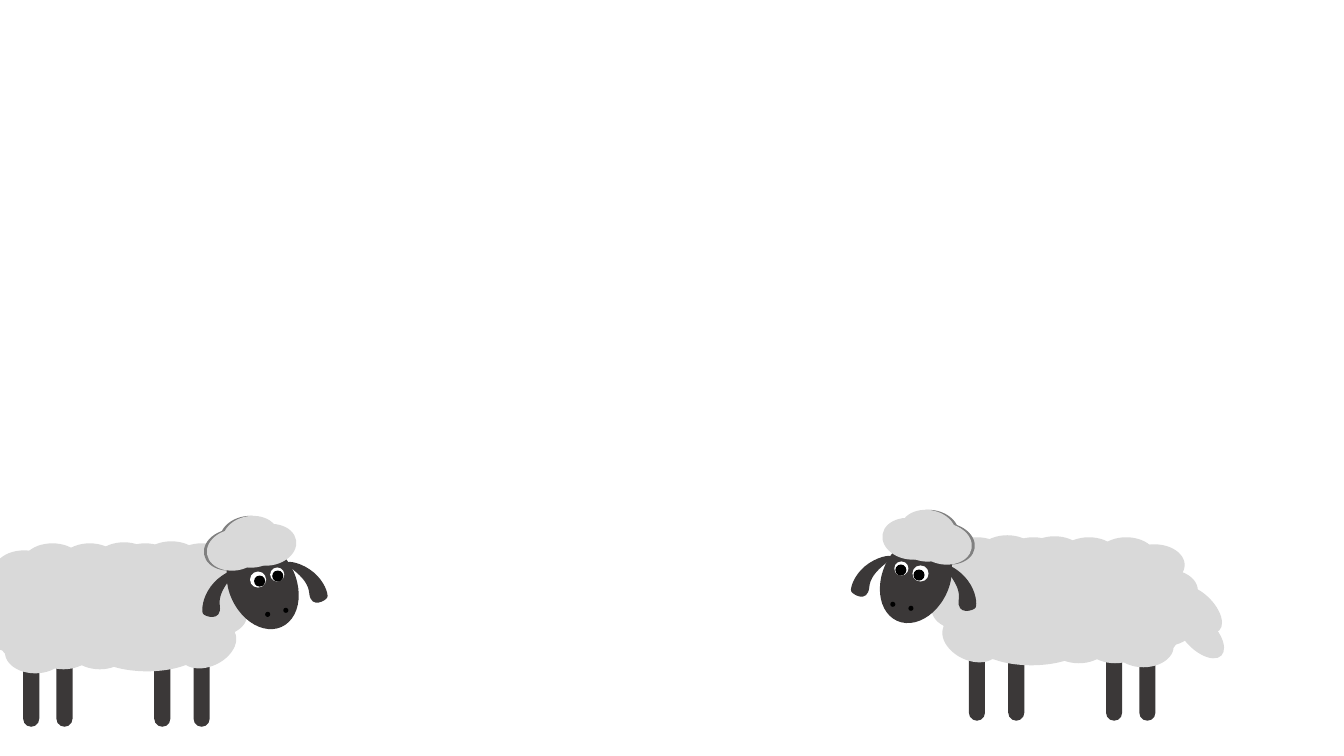
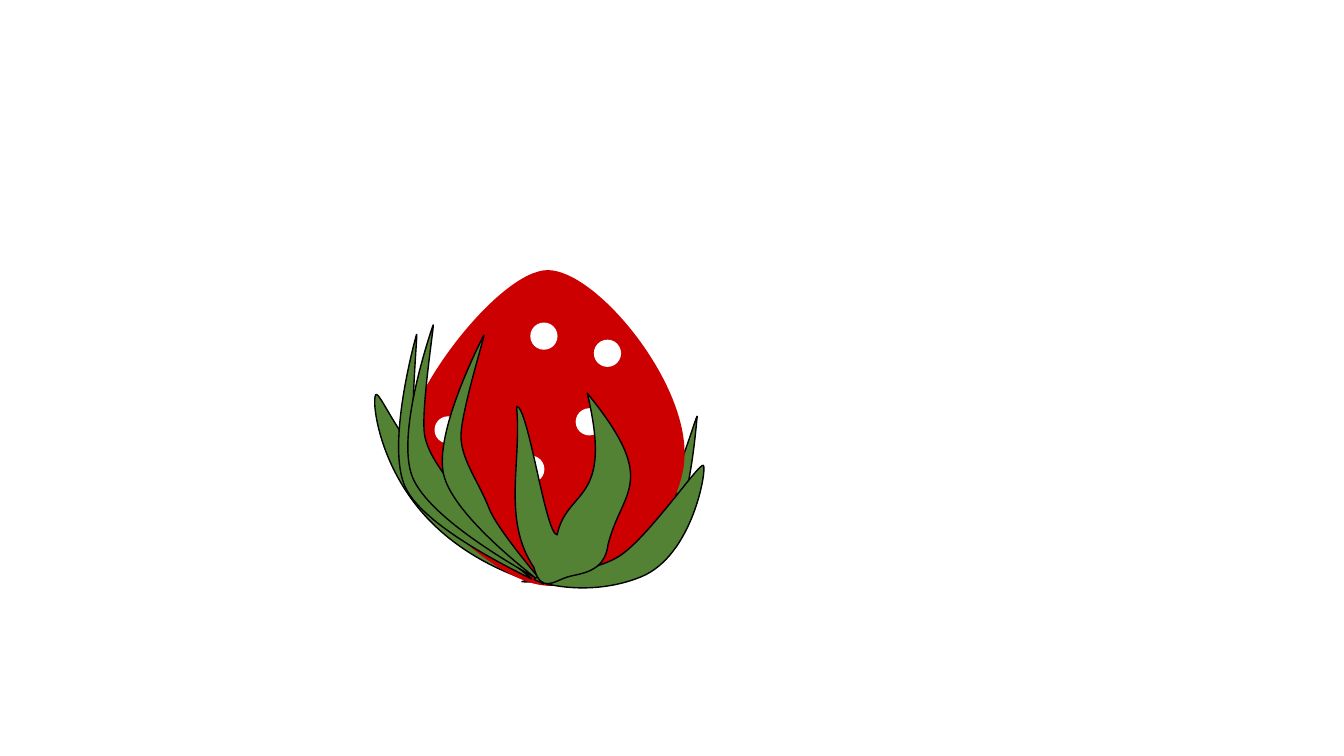
from math import cos, radians, sin
from typing import NamedTuple

from lxml.etree import SubElement
from pptx import Presentation
from pptx.dml.color import RGBColor
from pptx.enum.shapes import MSO_SHAPE
from pptx.oxml.ns import qn
from pptx.util import Inches, Pt

WOOL = RGBColor(0xD9, 0xD9, 0xD9)
WOOL_SHADE = RGBColor(0x80, 0x80, 0x80)
SKIN = RGBColor(0x3B, 0x38, 0x38)
WHITE = RGBColor(0xFF, 0xFF, 0xFF)
BLACK = RGBColor(0x00, 0x00, 0x00)
RED = RGBColor(0xCC, 0x00, 0x00)
GREEN = RGBColor(0x54, 0x82, 0x35)


class Box(NamedTuple):
    left: float
    top: float
    width: float
    height: float
    turn: float = 0
    flipped: bool = False

    def mirrored(self, axis_sum, drop):
        return Box(axis_sum - self.left - self.width, self.top + drop,
                   self.width, self.height, -self.turn, not self.flipped)

    def point(self, across, down):
        dx = (across - 0.5) * self.width * (-1 if self.flipped else 1)
        dy = (down - 0.5) * self.height
        angle = radians(self.turn)
        x = self.left + self.width / 2 + dx * cos(angle) - dy * sin(angle)
        y = self.top + self.height / 2 + dx * sin(angle) + dy * cos(angle)
        return Inches(x), Inches(y)


class Node(NamedTuple):
    across: float
    down: float
    leave: tuple
    arrive: tuple = None

    def handles(self):
        leave_x, leave_y = self.leave
        arrive_x, arrive_y = self.arrive or (-leave_x, -leave_y)
        return [(self.across + arrive_x, self.down + arrive_y),
                (self.across, self.down),
                (self.across + leave_x, self.down + leave_y)]


EAR = [Node(0.81, 0.31, (0.52, -0.22)), Node(0.44, 0, (-0.13, 0.03)),
       Node(0, 0.49, (-0.01, 0.27)), Node(0.43, 0.99, (0.13, -0.03))]
EGG = [Node(0, 0.56, (0, -0.17)), Node(0.51, 0, (0.17, 0)),
       Node(1, 0.58, (0, 0.24)), Node(0.51, 1, (-0.17, 0))]
BLADE = [Node(0, 0.51, (-0.03, -0.17)), Node(0.82, 0, (0.05, -0.02)),
         Node(0.3, 0.38, (-0.04, 0.09)), Node(0.49, 0.67, (0.06, 0.1)),
         Node(0.99, 1, (-0.08, -0.03))]
CRESCENT = [Node(0.32, 0.55, (0, -0.28)), Node(0.02, 0, (0.12, 0)),
            Node(1, 0.52, (0, 0.28)), Node(0.03, 1, (-0.12, 0))]
BROAD_LEAF = [Node(0.65, 0.56, (-0.08, -0.17)), Node(0, 0, (0.06, -0.01)),
              Node(0.99, 0.5, (0, 0.28)), Node(0.52, 1, (-0.06, 0.01))]
FORKED_LEAF = [Node(0.02, 0.07, (0.1, -0.01), (0.05, 0.28)),
               Node(0.37, 0.74, (0.09, -0.25), (-0.1, 0)),
               Node(0.63, 0, (0.63, 0.47), (0.23, 0.58)),
               Node(0.81, 0.79, (-0.03, 0.15), (0.12, -0.29)),
               Node(0.46, 0.96, (-0.11, 0.02)),
               Node(0.17, 0.91, (-0.28, -0.25), (0.06, 0.14))]

MIRROR_SUM, MIRROR_DROP = 11.69, 0.06
LEG_LEFTS = [9.61, 10, 11.3, 10.97]
LEG_TOP, LEG_SIZE, LEG_ROUNDING = 5.94, (0.16, 1.21), 0.5
BODY, BODY_ROUNDING = Box(9.36, 5.41, 2.36, 1.13), 0.29

CURL_SIZE = (0.6, 0.41)
CURL_ROW = [(9.69, 5.31), (9.39, 5.33), (10.16, 5.32), (9.95, 5.33),
            (10.5, 5.33), (10.87, 5.33), (11.15, 5.4)]
CURL_ROW_SHIFTS = [(0, 0), (-0.08, 0.2), (-0.15, 0.51)]
EDGE_CURLS = [(9.59, 6.12), (10.05, 6.13), (10.4, 6.17), (10.76, 6.17),
              (11.04, 6.21), (11.25, 6), (11.28, 5.65), (9.11, 5.36)]
CHEST_CURL = Box(9.33, 6.14, *CURL_SIZE, 26.1)
BELLY = Box(9.7, 6.19, 1.06, 0.41)
TAIL = [Box(11.59, 5.89, 0.59, 0.31, 45.2), Box(11.61, 6.14, 0.59, 0.31, 45.2)]

TUFT = [(8.9, 5.16), (9.09, 5.19), (8.75, 5.14), (8.93, 5.06)]
TUFT_SIZE, TUFT_TURN, TUFT_SHADE_SHIFT = (0.55, 0.41), 9.3, 0.03
HEAD = Box(8.75, 5.29, 0.67, 0.91, 24.3)
EYES = [Box(9.05, 5.61, 0.16, 0.16), Box(8.87, 5.57, 0.14, 0.14)]
PUPILS = [Box(9.06, 5.65, 0.11, 0.11), Box(8.88, 5.6, 0.11, 0.11)]
NOSTRILS = [Box(8.83, 5.97, 0.05, 0.05), Box(9.01, 6.01, 0.05, 0.05)]
EARS = [Box(9.39, 5.56, 0.23, 0.53, 142.5),
        Box(8.54, 5.44, 0.23, 0.53, 230.6, True)]

EGG_BOX = Box(4.02, 2.68, 2.77, 3.13)
DOT_SIZE = (0.27, 0.27)
DOTS = [(4.31, 4.13), (5.13, 4.52), (5.71, 4.05), (5.26, 3.2), (5.89, 3.37)]
BACK_LEAVES = [
    (BLADE, Box(5.85, 4.02, 0.82, 2.38, 230.1)),
    (BLADE, Box(5.71, 3.85, 0.99, 2.38, 219.1)),
    (CRESCENT, Box(4.21, 3.72, 0.48, 2.59, 136.8)),
]
FRONT_LEAVES = [
    (BLADE, Box(3.98, 3.32, 0.82, 2.67, -22.1)),
    (BLADE, Box(4.06, 3.24, 0.82, 2.67, -18.5)),
    (BLADE, Box(4.39, 3.35, 0.78, 2.53, -10.3)),
    (BROAD_LEAF, Box(5.81, 4.37, 0.8, 1.98, 67.9)),
    (FORKED_LEAF, Box(5.1, 3.9, 1.15, 1.9)),
]


def paint(shape, color, outline=None):
    shape.shadow.inherit = False
    shape.fill.solid()
    shape.fill.fore_color.rgb = color
    if outline is None:
        shape.line.fill.background()
    else:
        shape.line.color.rgb = outline
        shape.line.width = Pt(1)


def add_preset(shapes, preset, color, box):
    lengths = (box.left, box.top, box.width, box.height)
    shape = shapes.add_shape(preset, *[Inches(length) for length in lengths])
    shape.rotation = box.turn
    paint(shape, color)
    return shape


def bend_segments(shape):
    segments = list(shape._element.iter(qn("a:lnTo")))
    for first in range(0, len(segments), 3):
        contour = segments[first].getparent()
        bezier = SubElement(contour, qn("a:cubicBezTo"))
        segments[first].addprevious(bezier)
        for segment in segments[first:first + 3]:
            bezier.append(segment[0])
            contour.remove(segment)


def add_curve(shapes, nodes, box, color, outline=None):
    handles = [box.point(*handle) for node in nodes for handle in node.handles()]
    start = handles[1]
    builder = shapes.build_freeform(*start)
    builder.add_line_segments(handles[2:] + handles[:2], close=True)
    shape = builder.convert_to_shape()
    bend_segments(shape)
    paint(shape, color, outline)


def add_sheep(slide, mirrored):
    shapes = slide.shapes.add_group_shape().shapes

    def facing(box):
        return box.mirrored(MIRROR_SUM, MIRROR_DROP) if mirrored else box

    def add_rounded(box, rounding, color):
        shape = add_preset(shapes, MSO_SHAPE.ROUNDED_RECTANGLE, color, facing(box))
        shape.adjustments[0] = rounding

    def add_ovals(color, boxes):
        for box in boxes:
            add_preset(shapes, MSO_SHAPE.OVAL, color, facing(box))

    def add_tuft(color, shift):
        add_ovals(color, [Box(x + shift, y, *TUFT_SIZE, TUFT_TURN) for x, y in TUFT])

    for left in LEG_LEFTS:
        add_rounded(Box(left, LEG_TOP, *LEG_SIZE), LEG_ROUNDING, SKIN)
    add_rounded(BODY, BODY_ROUNDING, WOOL)

    curls = [(x + dx, y + dy) for dx, dy in CURL_ROW_SHIFTS for x, y in CURL_ROW]
    add_ovals(WOOL, [Box(*corner, *CURL_SIZE) for corner in curls + EDGE_CURLS])
    add_ovals(WOOL, [CHEST_CURL, BELLY, *TAIL])

    add_tuft(WOOL_SHADE, TUFT_SHADE_SHIFT)
    add_ovals(SKIN, [HEAD])
    add_ovals(WHITE, EYES)
    add_ovals(BLACK, PUPILS)
    for ear in EARS:
        add_curve(shapes, EAR, facing(ear), SKIN)
    add_ovals(BLACK, NOSTRILS)
    add_tuft(WOOL, 0)


def add_leaves(shapes, leaves):
    for profile, box in leaves:
        add_curve(shapes, profile, box, GREEN, BLACK)


def add_egg(slide):
    add_leaves(slide.shapes, BACK_LEAVES)
    shapes = slide.shapes.add_group_shape().shapes
    add_curve(shapes, EGG, EGG_BOX, RED)
    for corner in DOTS:
        add_preset(shapes, MSO_SHAPE.OVAL, WHITE, Box(*corner, *DOT_SIZE))
    add_leaves(shapes, FRONT_LEAVES)


def main():
    deck = Presentation()
    deck.slide_width, deck.slide_height = Inches(13.33), Inches(7.5)
    blank = deck.slide_layouts[6]
    meadow = deck.slides.add_slide(blank)
    for mirrored in (True, False):
        add_sheep(meadow, mirrored)
    add_egg(deck.slides.add_slide(blank))
    deck.save("out.pptx")


if __name__ == "__main__":
    main()
